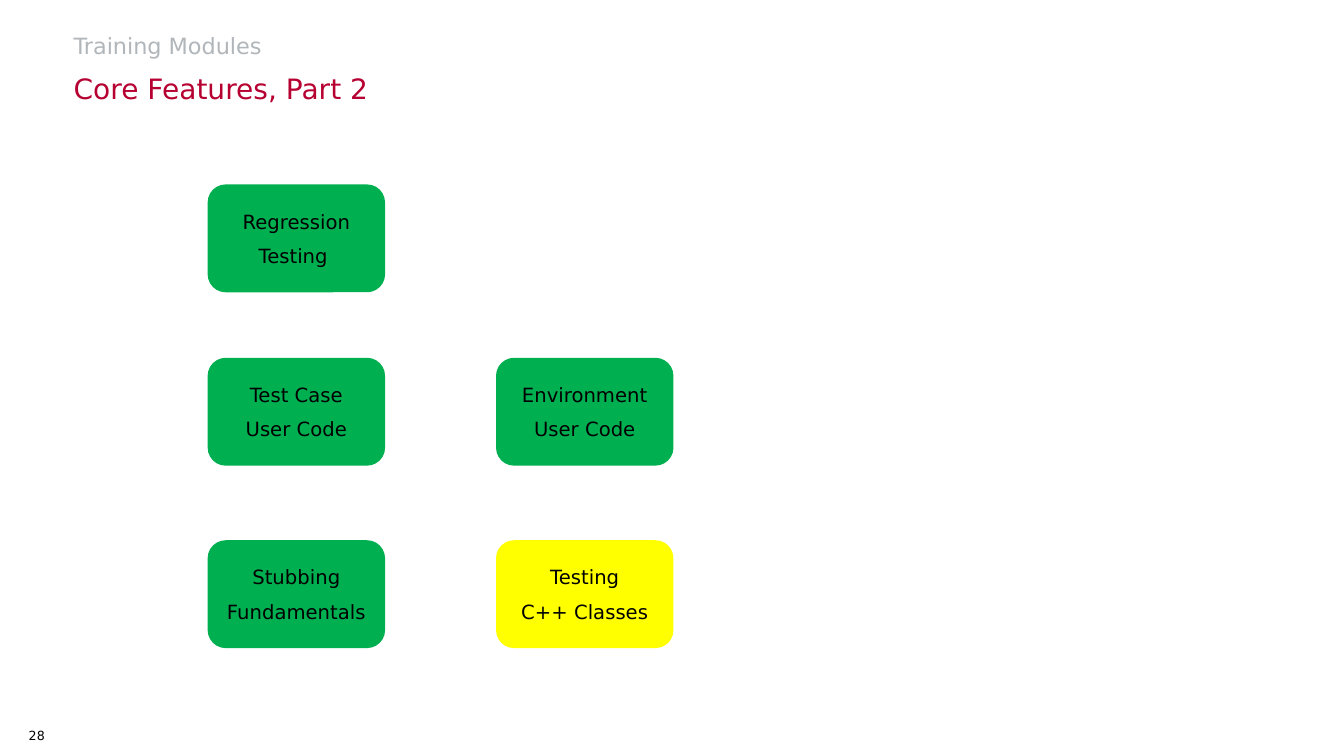
from pptx import Presentation
from pptx.dml.color import RGBColor as Color
from pptx.enum.shapes import MSO_SHAPE as Shape
from pptx.enum.text import MSO_ANCHOR as Anchor, PP_ALIGN as Align
from pptx.util import Inches, Pt

COLORS = {
    "title": "B1B6BA",
    "subtitle": "B70032",
    "text": "000000",
    "done": "00B050",
    "current": "FFFF00",
}
COLUMNS = (2.06, 4.92)
ROWS = (1.83, 3.55, 5.36)
MODULE_SIZE = (1.76, 1.07)
MODULES = (
    (0, 0, ("Regression", "Testing "), "done"),
    (0, 1, ("Test Case", "User Code"), "done"),
    (1, 1, ("Environment", "User Code"), "done"),
    (0, 2, ("Stubbing", "Fundamentals"), "done"),
    (1, 2, ("Testing", "C++ Classes"), "current"),
)


class ModuleSlide:
    """Draws headings and training modules on one slide in a shared style."""

    font = "DejaVu Sans"

    def __init__(self, deck):
        self.page = deck.slides.add_slide(deck.slide_layouts[5])

    def fill_text(self, frame, lines, size, color, align, gap=0):
        frame.text = "\n".join(lines)
        for index, para in enumerate(frame.paragraphs):
            para.alignment = align
            para.space_before = Pt(gap if index else 0)
            para.font.name = self.font
            para.font.size = Pt(size)
            para.font.color.rgb = Color.from_string(COLORS[color])

    def label(self, box, text, size, color, anchor, align=Align.LEFT):
        frame = box.text_frame
        frame.margin_left = frame.margin_right = 0
        frame.margin_top = frame.margin_bottom = 0
        frame.word_wrap = True
        frame.vertical_anchor = anchor
        self.fill_text(frame, [text], size, color, align)

    def title(self, text, left, top, width, height):
        box = self.page.shapes.title
        box.left, box.top = Inches(left), Inches(top)
        box.width, box.height = Inches(width), Inches(height)
        self.label(box, text, 16, "title", Anchor.BOTTOM)
        box.text_frame.paragraphs[0].line_spacing = 0.9

    def text(self, text, area, size, color, anchor, align=Align.LEFT):
        box = self.page.shapes.add_textbox(*map(Inches, area))
        self.label(box, text, size, color, anchor, align)

    def module(self, column, row, lines, status):
        area = (COLUMNS[column], ROWS[row], *MODULE_SIZE)
        box = self.page.shapes.add_shape(Shape.ROUNDED_RECTANGLE, *map(Inches, area))
        box.shadow.inherit = False
        box.fill.solid()
        box.fill.fore_color.rgb = Color.from_string(COLORS[status])
        box.line.fill.background()
        box.text_frame.vertical_anchor = Anchor.MIDDLE
        self.fill_text(box.text_frame, lines, 14, "text", Align.CENTER, gap=7.7)


def main():
    deck = Presentation()
    deck.slide_width, deck.slide_height = Inches(13.33), Inches(7.5)
    slide = ModuleSlide(deck)
    slide.title("Training Modules", 0.73, 0.28, 9.78, 0.31)
    slide.text("Core Features, Part 2", (0.73, 0.69, 9.78, 0.35), 20, "subtitle", Anchor.BOTTOM)
    slide.text("28", (0, 7.09, 0.73, 0.41), 9, "text", Anchor.MIDDLE, Align.CENTER)
    for module in MODULES:
        slide.module(*module)
    deck.save("out.pptx")


if __name__ == "__main__":
    main()
